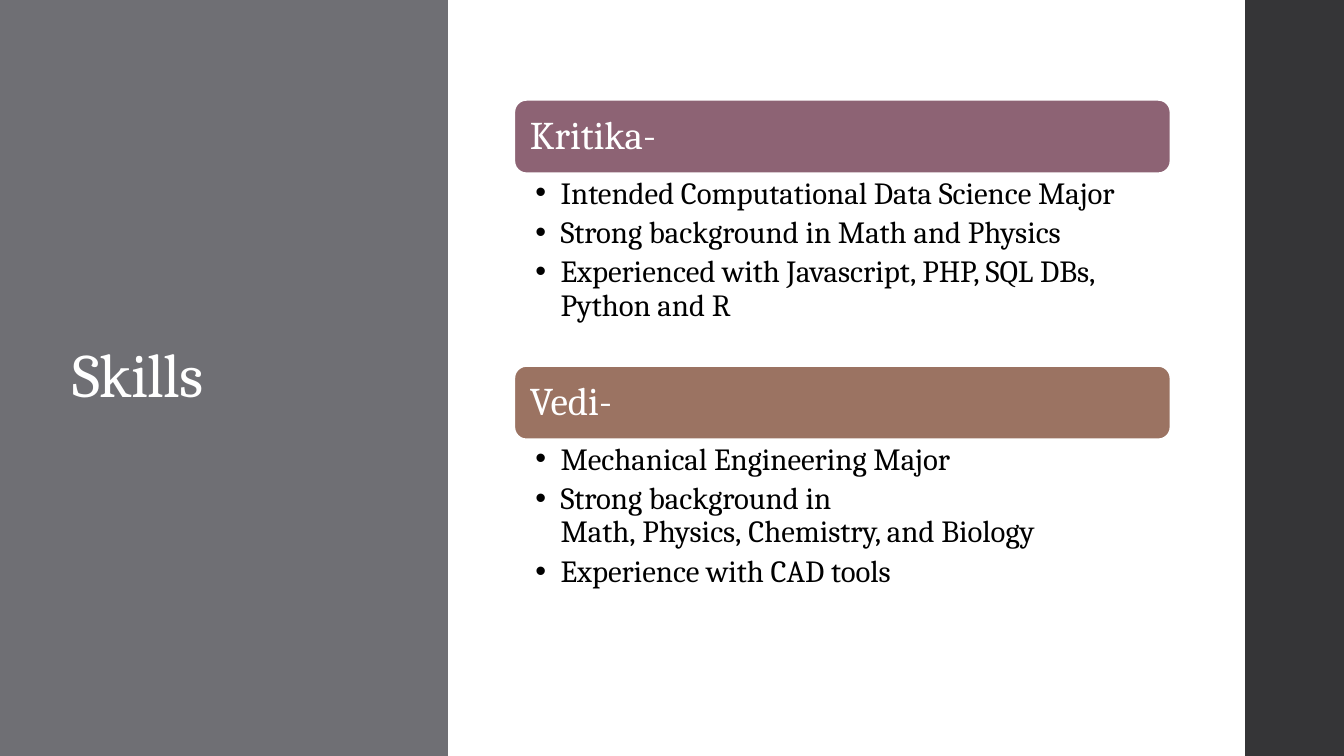
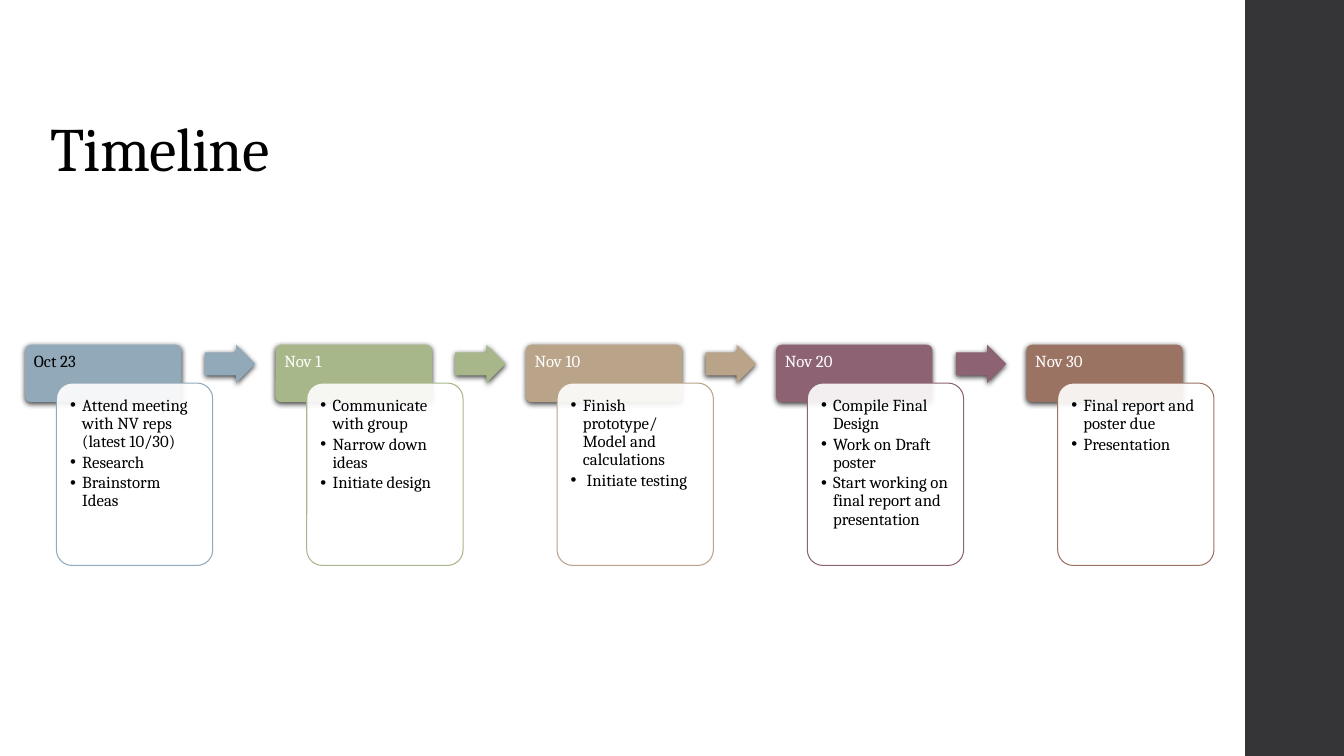
import pptx
import pptx.util
import pptx.dml.color
import pptx.enum.shapes
import pptx.enum.text
import pptx.oxml
import pptx.oxml.ns
from lxml import etree

W, H = 13.33, 7.5
FONT = "Cambria"
WHITE, BLACK = "FFFFFF", "000000"
PANEL, BAND = "6F6F74", "353537"
BLUE, GREEN, TAN, PLUM, BROWN = "92A9B9", "A7B789", "B9A489", "8D6374", "9B7362"
BAND_LEFT = 12.35
PANEL_WIDTH = W / 3

MSO = pptx.enum.shapes.MSO_SHAPE
ANCHOR = pptx.enum.text.MSO_ANCHOR
Inches, Pt = pptx.util.Inches, pptx.util.Pt


# Shared helpers
def color(code):
    return pptx.dml.color.RGBColor.from_string(code)


def sub(parent, tag, **attrs):
    return etree.SubElement(parent, pptx.oxml.ns.qn(tag), attrs)


def add_shape(s, kind, box, fill, line=None, line_width=0.75, adjustments=()):
    sp = s.shapes.add_shape(kind, *map(Inches, box))
    sp.shadow.inherit = False
    sp.fill.solid()
    sp.fill.fore_color.rgb = color(fill)
    if line:
        sp.line.color.rgb = color(line)
        sp.line.width = Pt(line_width)
    else:
        sp.line.fill.background()
    for i, value in enumerate(adjustments):
        sp.adjustments[i] = value
    return sp


def add_shadow(sp):
    effects = sp._element.spPr.find(pptx.oxml.ns.qn("a:effectLst"))
    shadow = sub(effects, "a:outerShdw", blurRad=str(Pt(4)), dist=str(Pt(1.2)),
                 dir="5400000", algn="ctr", rotWithShape="0")
    sub(sub(shadow, "a:srgbClr", val=BLACK), "a:alpha", val="75000")


def set_opacity(sp, percent):
    fill = sp._element.spPr.find(pptx.oxml.ns.qn("a:solidFill"))
    sub(fill[0], "a:alpha", val=str(percent * 1000))


def write(sp, lines, size, ink, insets, anchor=ANCHOR.TOP, after=0, indent=0):
    """Fill a shape with paragraphs; an indent makes them bullets."""
    tf = sp.text_frame
    tf.word_wrap = True
    tf.vertical_anchor = anchor
    tf.margin_left, tf.margin_top, tf.margin_right, tf.margin_bottom = map(Inches, insets)
    tf.text = "\n".join(lines)
    for p in tf.paragraphs:
        p.alignment = pptx.enum.text.PP_ALIGN.LEFT
        p.line_spacing = 0.9
        p.space_after = Pt(after)
        if indent:
            pPr = p._p.get_or_add_pPr()
            pPr.set("marL", str(Inches(indent)))
            pPr.set("indent", str(-Inches(indent)))
            sub(pPr, "a:buFont", typeface="Arial")
            sub(pPr, "a:buChar", char="•")
        for r in p.runs:
            r.font.name = FONT
            r.font.size = Pt(size)
            r.font.color.rgb = color(ink)


def add_text(s, box, lines, size, ink, insets, **style):
    sp = s.shapes.add_textbox(*map(Inches, box))
    write(sp, lines, size, ink, insets, **style)
    return sp


def add_title(s, box, text, ink, anchor):
    sp = add_text(s, box, [text], 44, ink, (0.1, 0.05, 0.1, 0.05), anchor=anchor)
    sp.text_frame.paragraphs[0].runs[0]._r.get_or_add_rPr().set("spc", "-50")


def new_slide(prs):
    s = prs.slides.add_slide(prs.slide_layouts[6])
    add_shape(s, MSO.RECTANGLE, (BAND_LEFT, 0, W - BAND_LEFT, H), BAND)
    return s


# Heading bar with bullets below it
def skill_block(s, box, heading, fill, bullets):
    x, y, w, h = box
    bar_h = 0.73
    bar = add_shape(s, MSO.ROUNDED_RECTANGLE, (x, y, w, bar_h), fill, WHITE, 1.35)
    write(bar, [heading], 28, WHITE, (0.12,) * 4, anchor=ANCHOR.MIDDLE)
    add_text(s, (x, y + bar_h, w, h - bar_h), bullets, 22, BLACK,
             (0.21, 0.04, 0.22, 0.04), after=4.4, indent=0.25)


def skills_slide(prs, title, blocks):
    s = new_slide(prs)
    add_shape(s, MSO.RECTANGLE, (0, 0, PANEL_WIDTH, H), PANEL)
    add_title(s, (0.62, 0.91, 2.97, 5.67), title, WHITE, ANCHOR.MIDDLE)
    y = 0.99
    for heading, fill, height, bullets in blocks:
        skill_block(s, (5.1, y, 6.51, height), heading, fill, bullets)
        y += height


# Dated tab with an overlapping card
def milestone(s, box, date, ink, fill, tasks):
    x, y, w, h = box
    dx, dy = 0.2 * w, 0.38
    tab = add_shape(s, MSO.ROUNDED_RECTANGLE, (x, y, w, 1.5 * dy), fill, adjustments=[0.1])
    add_shadow(tab)
    write(tab, [date], 12, ink, (0.07, 0.07, 0.07, 0.05))
    card = add_shape(s, MSO.ROUNDED_RECTANGLE, (x + dx, y + dy, w, h - dy), WHITE, fill,
                     adjustments=[0.1])
    set_opacity(card, 90)
    write(card, tasks, 12, BLACK, (0.09,) * 4, after=1.8, indent=0.12)


def timeline(s, box, steps):
    x, y, w, h = box
    step_w = 1.55
    pitch = (w - 1.2 * step_w) / (len(steps) - 1)
    for i, (date, ink, fill, tasks) in enumerate(steps):
        left = x + i * pitch
        milestone(s, (left, y, step_w, h), date, ink, fill, tasks)
        if i < len(steps) - 1:
            arrow = add_shape(s, MSO.RIGHT_ARROW, (left + 1.15 * step_w, y, 0.5, 0.38),
                              fill, adjustments=[0.6, 0.5])
            add_shadow(arrow)


def timeline_slide(prs, title, steps):
    s = new_slide(prs)
    add_title(s, (0.4, 0.43, 10.6, 1.45), title, BLACK, ANCHOR.BOTTOM)
    timeline(s, (0.25, 3.42, 11.79, 2.19), steps)


prs = pptx.Presentation()
prs.slide_width, prs.slide_height = Inches(W), Inches(H)

skills_slide(prs, "Skills", [
    ("Kritika-", PLUM, 2.64, [
        "Intended Computational Data Science Major",
        "Strong background in Math and Physics\u00a0",
        "Experienced with Javascript, PHP, SQL DBs, Python and R"]),
    ("Vedi-", BROWN, 2.28, [
        "Mechanical Engineering Major",
        "Strong background in Math,\u00a0Physics,\u00a0Chemistry, and Biology",
        "Experience with CAD tools"]),
])

timeline_slide(prs, "Timeline", [
    ("Oct 23", BLACK, BLUE, ["Attend meeting with NV reps (latest 10/30)",
                             "Research", "Brainstorm Ideas"]),
    ("Nov 1", WHITE, GREEN, ["Communicate with group", "Narrow down ideas",
                             "Initiate design"]),
    ("Nov 10", WHITE, TAN, ["Finish prototype/ Model and calculations",
                            "\u00a0Initiate testing"]),
    ("Nov 20", WHITE, PLUM, ["Compile Final Design", "Work on Draft poster",
                             "Start working on final report and presentation"]),
    ("Nov 30", WHITE, BROWN, ["Final report and poster due", "Presentation"]),
])

prs.save("out.pptx")
